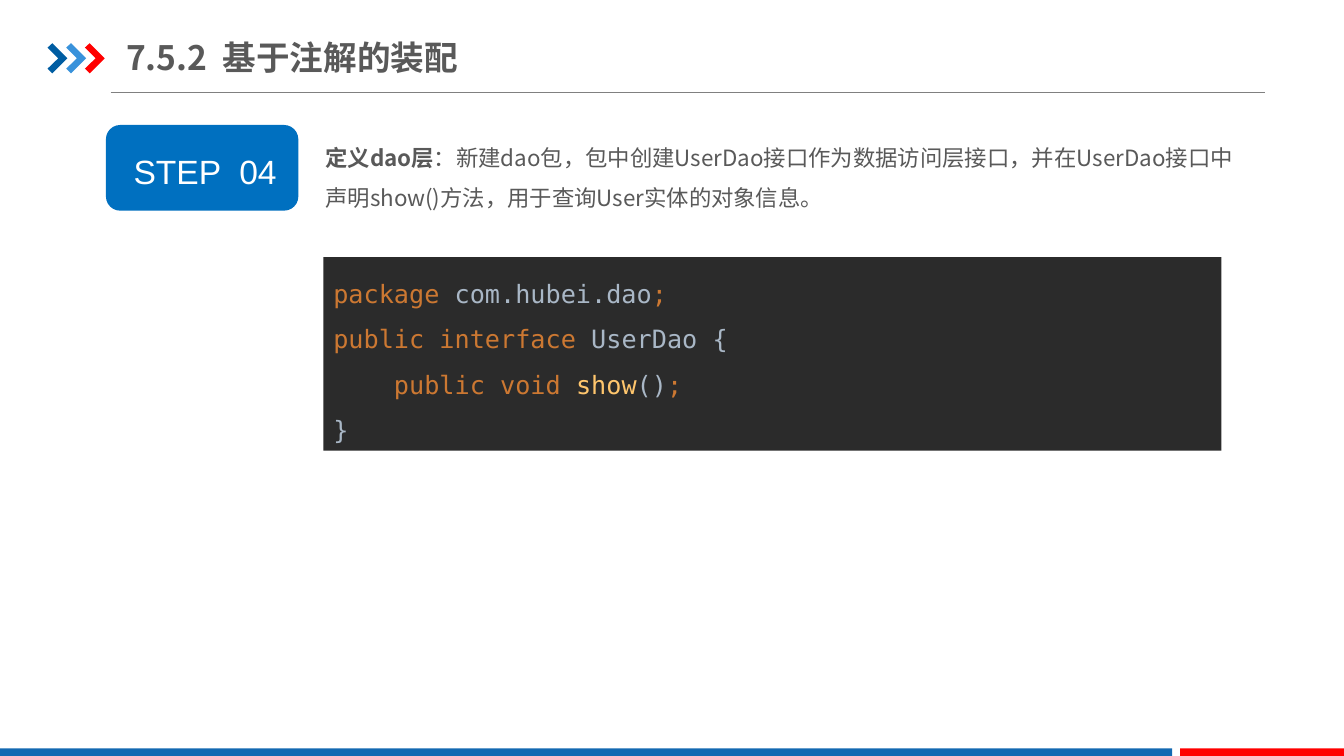
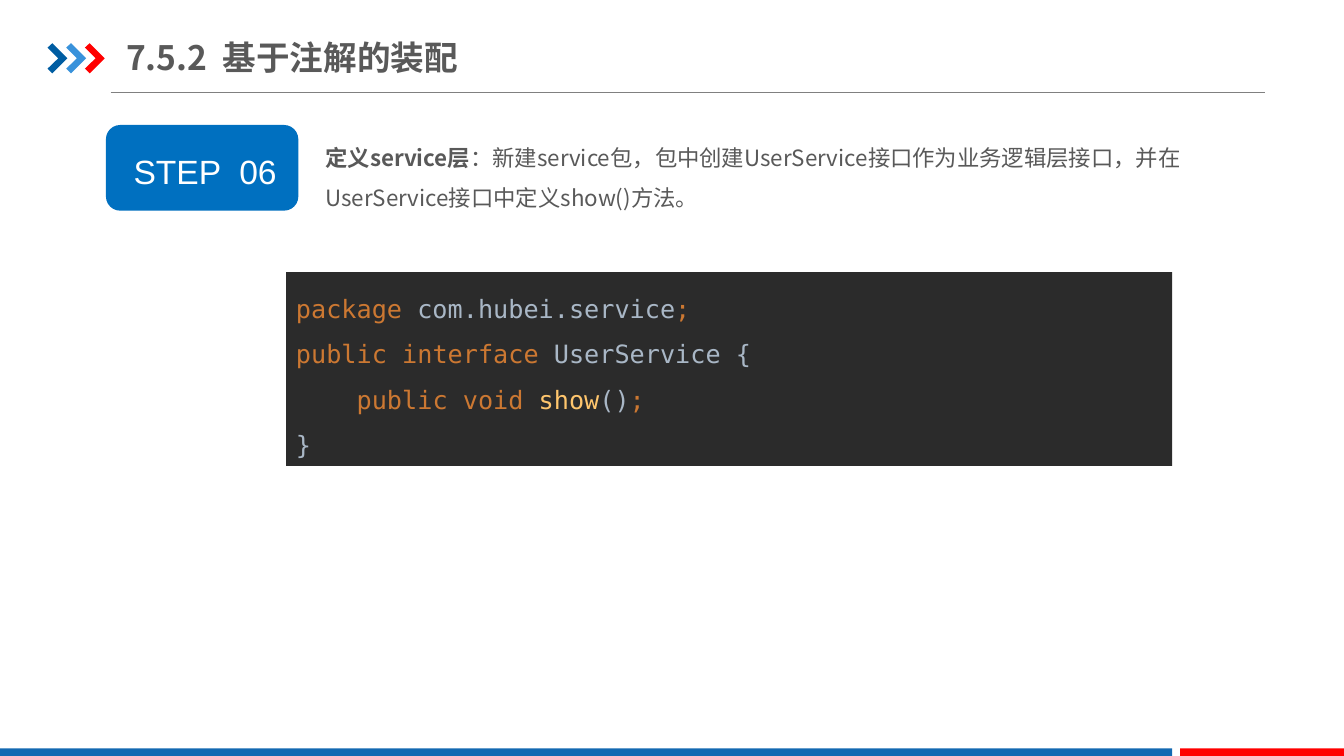
from dataclasses import dataclass

from lxml.etree import SubElement
from pptx import Presentation
from pptx.dml.color import RGBColor
from pptx.enum.shapes import MSO_CONNECTOR, MSO_SHAPE as Preset
from pptx.enum.text import MSO_ANCHOR as Anchor, PP_ALIGN as Align
from pptx.oxml.ns import qn
from pptx.util import Cm, Pt

# Shared style
HEADING = "7.5.2  基于注解的装配"
TEXT_FONT = "Noto Sans CJK SC"
CODE_FONT = "DejaVu Sans Mono"
BADGE_FONT = "Arial"
WHITE, GREY, RULE_GREY = "FFFFFF", "595959", "808080"
BADGE_BLUE, FOOTER_BLUE, RED = "0070C0", "1369B2", "FF0000"
CHEVRON_COLOURS = ("005DA2", "3992DB", RED)
CHEVRON_PITCH = 0.47
CHEVRON_OUTLINE = ((1.2, 1.2), (1.32, 1.09), (1.7, 1.47),
                   (1.32, 1.85), (1.2, 1.73), (1.47, 1.47))
CODE_BACK, KEYWORD, PLAIN, METHOD = "2B2B2B", "CC7832", "A9B7C6", "FFC66D"


@dataclass(frozen=True)
class Area:
    """Left, top, width and height in centimetres."""
    left: float
    top: float
    width: float
    height: float

    def lengths(self) -> tuple:
        return Cm(self.left), Cm(self.top), Cm(self.width), Cm(self.height)


@dataclass(frozen=True)
class Span:
    text: str
    colour: str | None = None
    bold: bool | None = None


@dataclass(frozen=True)
class Step:
    number: str
    lead: str
    detail: str
    package_name: str
    interface: str
    code_area: Area


STEPS = (
    Step("04", "定义dao层",
         "：新建dao包，包中创建UserDao接口作为数据访问层接口，"
         "并在UserDao接口中声明show()方法，用于查询User实体的对象信息。",
         "com.hubei.dao", "UserDao", Area(8.15, 6.48, 22.63, 4.88)),
    Step("06", "定义service层",
         "：新建service包，包中创建UserService接口作为业务逻辑层接口，"
         "并在UserService接口中定义show()方法。",
         "com.hubei.service", "UserService", Area(7.21, 6.86, 22.33, 4.88)),
)


def rgb(colour: str) -> RGBColor:
    return RGBColor.from_string(colour)


def paint(shape, colour: str) -> None:
    shape.shadow.inherit = False
    shape.fill.solid()
    shape.fill.fore_color.rgb = rgb(colour)
    shape.line.fill.background()


def add_block(page, preset, area: Area, colour: str):
    block = page.shapes.add_shape(preset, *area.lengths())
    paint(block, colour)
    return block


def add_text_box(page, area: Area):
    box = page.shapes.add_textbox(*area.lengths())
    box.text_frame.word_wrap = True
    return box


def write(para, spans: list[Span], font_name: str, size: float,
          colour: str | None = None, bold: bool | None = None) -> None:
    """Fill a paragraph with spans under one shared font."""
    font = para.font
    font.name, font.size, font.bold = font_name, Pt(size), bold
    if colour:
        font.color.rgb = rgb(colour)
    defaults = para._p.pPr.find(qn("a:defRPr"))
    SubElement(defaults, qn("a:ea")).set("typeface", font_name)
    for span in spans:
        run = para.add_run()
        run.text = span.text
        if span.bold is not None:
            run.font.bold = span.bold
        if span.colour:
            run.font.color.rgb = rgb(span.colour)


def draw_frame(page) -> None:
    # Heading rule
    rule = page.shapes.add_connector(
        MSO_CONNECTOR.STRAIGHT, Cm(2.79), Cm(2.32), Cm(31.88), Cm(2.32))
    rule.line.color.rgb = rgb(RULE_GREY)
    rule.line.width = Pt(0.5)
    SubElement(rule._element.spPr, qn("a:effectLst"))

    # Chevrons
    for index, colour in enumerate(CHEVRON_COLOURS):
        points = [(Cm(x + index * CHEVRON_PITCH), Cm(y))
                  for x, y in CHEVRON_OUTLINE]
        builder = page.shapes.build_freeform(*points[0])
        builder.add_line_segments(points[1:], close=True)
        paint(builder.convert_to_shape(), colour)

    # Footer bands
    add_block(page, Preset.RECTANGLE, Area(0, 18.86, 29.54, 0.22), FOOTER_BLUE)
    add_block(page, Preset.RECTANGLE, Area(29.74, 18.86, 4.13, 0.22), RED)

    # Heading
    frame = add_text_box(page, Area(3.18, 0.74, 9.93, 1.4)).text_frame
    frame.margin_left = frame.margin_right = 0
    frame.vertical_anchor = Anchor.MIDDLE
    write(frame.paragraphs[0], [Span(HEADING)], TEXT_FONT, 24, GREY, True)


def draw_badge(page, number: str) -> None:
    badge = add_block(page, Preset.ROUNDED_RECTANGLE,
                      Area(2.67, 3.15, 4.85, 2.16), BADGE_BLUE)
    frame = badge.text_frame
    frame.margin_left, frame.margin_right = Cm(0.15), 0
    frame.margin_top, frame.margin_bottom = Cm(0.15), 0
    frame.vertical_anchor = Anchor.MIDDLE
    para = frame.paragraphs[0]
    para.alignment = Align.CENTER
    write(para, [Span(f"STEP  {number}")], BADGE_FONT, 24, WHITE)


def draw_description(page, step: Step) -> None:
    box = add_text_box(page, Area(7.95, 3.16, 23.57, 2.31))
    para = box.text_frame.paragraphs[0]
    para.line_spacing = 1.5
    write(para, [Span(step.lead, bold=True), Span(step.detail, bold=False)],
          TEXT_FONT, 16, GREY)


def code_lines(step: Step) -> list[list[Span]]:
    end = Span(";", KEYWORD)
    return [
        [Span("package ", KEYWORD), Span(step.package_name, PLAIN), end],
        [Span("public interface ", KEYWORD),
         Span(f"{step.interface} {{", PLAIN)],
        [Span("    public void ", KEYWORD), Span("show", METHOD),
         Span("()", PLAIN), end],
        [Span("}", PLAIN)],
    ]


def draw_code(page, step: Step) -> None:
    panel = add_block(page, Preset.RECTANGLE, step.code_area, CODE_BACK)
    frame = panel.text_frame
    frame.word_wrap = True
    frame.vertical_anchor = Anchor.MIDDLE
    for index, spans in enumerate(code_lines(step)):
        para = frame.add_paragraph() if index else frame.paragraphs[0]
        para.alignment = Align.LEFT
        para.line_spacing = 1.5
        write(para, spans, CODE_FONT, 18)


def main() -> None:
    deck = Presentation()
    deck.slide_width, deck.slide_height = Cm(33.87), Cm(19.05)
    blank = deck.slide_layouts[6]
    for step in STEPS:
        page = deck.slides.add_slide(blank)
        draw_frame(page)
        draw_badge(page, step.number)
        draw_description(page, step)
        draw_code(page, step)
    deck.save("out.pptx")


if __name__ == "__main__":
    main()
